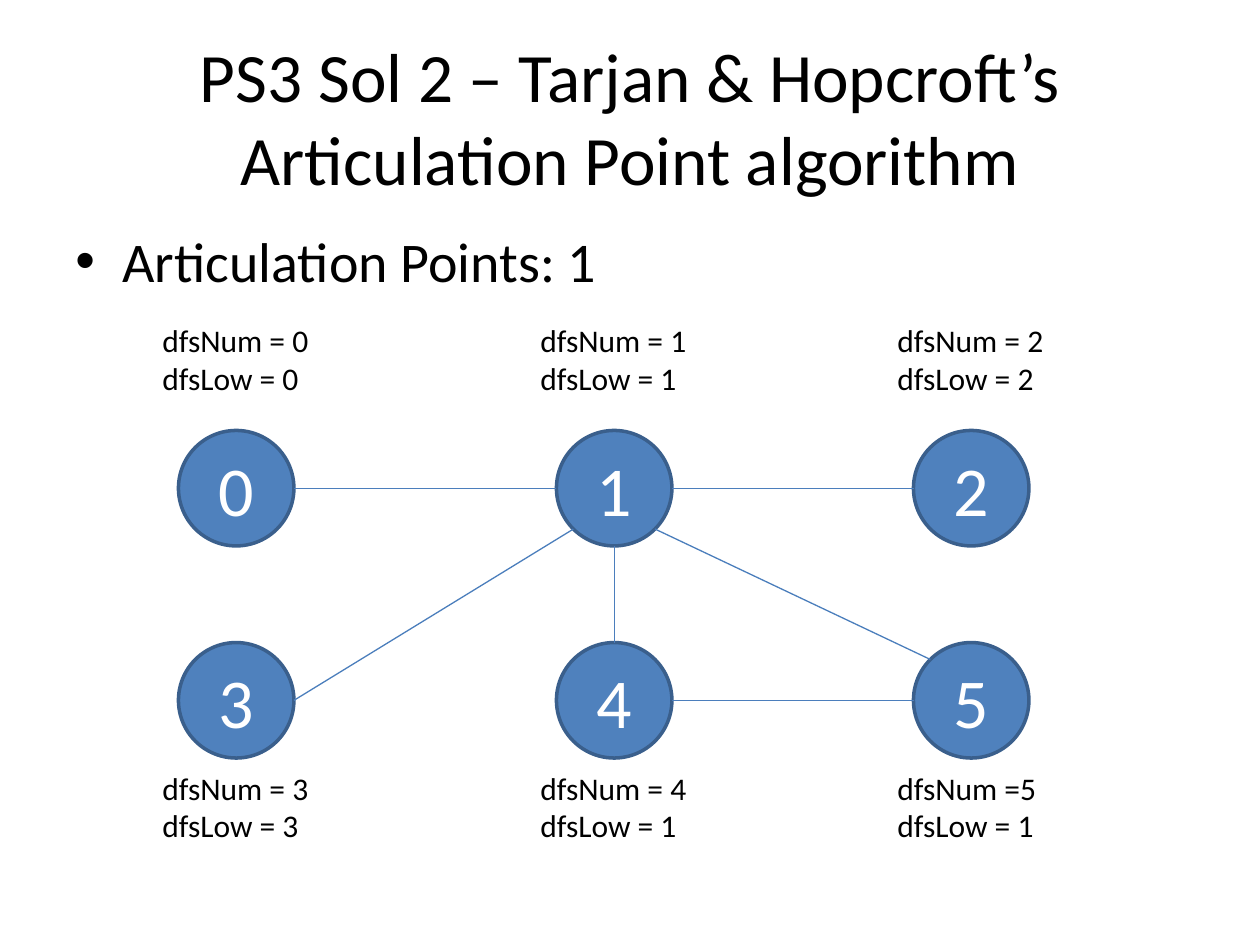
"""Build a slide showing a graph with its DFS numbers and articulation point."""
from math import cos, radians, sin

from lxml import etree
from pptx import Presentation
from pptx.dml.color import RGBColor
from pptx.enum.shapes import MSO_CONNECTOR, MSO_SHAPE
from pptx.enum.text import MSO_ANCHOR, MSO_AUTO_SIZE, PP_ALIGN
from pptx.oxml.ns import qn
from pptx.util import Pt

LINE, OVAL = MSO_CONNECTOR.STRAIGHT, MSO_SHAPE.OVAL
LEFT, MID = PP_ALIGN.LEFT, PP_ALIGN.CENTER
TOP, CENTER = MSO_ANCHOR.TOP, MSO_ANCHOR.MIDDLE
GROW = MSO_AUTO_SIZE.SHAPE_TO_FIT_TEXT

TITLE = "PS3 Sol 2 – Tarjan & Hopcroft’s Articulation Point algorithm"
POINT = "Articulation Points: 1"
NOTES = [
    "dfsNum = 0\ndfsLow = 0", "dfsNum = 1\ndfsLow = 1", "dfsNum = 2\ndfsLow = 2",
    "dfsNum = 3\ndfsLow = 3", "dfsNum = 4\ndfsLow = 1", "dfsNum =5\ndfsLow = 1",
]
EAST, SOUTH, WEST, NORTH = 0, 90, 180, 270
EDGES = [
    (0, EAST, 1, WEST), (2, WEST, 1, EAST), (1, SOUTH, 4, NORTH),
    (4, EAST, 5, WEST), (1, 135, 3, EAST), (5, 225, 1, 45),
]
COLS = (102, 318, 522)
ROWS = ((246, 180), (367.2, 435.6))
SIZE = 66
NOTE_W, NOTE_H = 98.6, 51
THEME = {
    "font": "Calibri", "ink": "000000", "node": "4F81BD", "rim": "3A5F8C",
    "edge": "4B7EBC", "pale": "FFFFFF",
    "title": 39.6, "body": 32, "num": 40, "note": 18,
}


def tint(name):
    return RGBColor.from_string(THEME[name])


def write(shape, text, size, ink="ink", align=LEFT, anchor=TOP, wrap=True):
    frame = shape.text_frame
    frame.text = text
    frame.word_wrap = wrap
    frame.vertical_anchor = anchor
    for para in frame.paragraphs:
        para.alignment = align
        for run in para.runs:
            run.font.name = THEME["font"]
            run.font.size = Pt(THEME[size])
            run.font.color.rgb = tint(ink)
    return frame


def box(x, y, w, h):
    return slide.shapes.add_textbox(Pt(x), Pt(y), Pt(w), Pt(h))


def spot(node, angle):
    rad = SIZE / 2
    x, y = COLS[node % 3] + rad, ROWS[node // 3][0] + rad
    turn = radians(angle)
    return Pt(x + rad * cos(turn)), Pt(y + rad * sin(turn))


def bullet(para):
    props = para._p.get_or_add_pPr()
    props.set("marL", str(Pt(27)))
    props.set("indent", str(-Pt(27)))
    etree.SubElement(props, qn("a:buFont")).set("typeface", "Arial")
    etree.SubElement(props, qn("a:buChar")).set("char", "•")


deck = Presentation()
deck.slide_width, deck.slide_height = Pt(720), Pt(540)
slide = deck.slides.add_slide(deck.slide_layouts[6])

write(box(36, 21.6, 648, 90), TITLE, "title", align=MID, anchor=CENTER)
body = write(box(36, 126, 648, 356.4), POINT, "body")
body.paragraphs[0].space_before = Pt(6.4)
bullet(body.paragraphs[0])

for num, note in enumerate(NOTES):
    x = COLS[num % 3]
    y, note_y = ROWS[num // 3]
    node = slide.shapes.add_shape(OVAL, Pt(x), Pt(y), Pt(SIZE), Pt(SIZE))
    node.shadow.inherit = False
    node.fill.solid()
    node.fill.fore_color.rgb = tint("node")
    node.line.color.rgb = tint("rim")
    node.line.width = Pt(2)
    write(node, str(num), "num", "pale", MID, CENTER)
    label = box(x + (SIZE - NOTE_W) / 2, note_y, NOTE_W, NOTE_H)
    write(label, note, "note", wrap=False).auto_size = GROW

for start, out, end, into in EDGES:
    edge = slide.shapes.add_connector(LINE, *spot(start, out), *spot(end, into))
    edge.line.color.rgb = tint("edge")
    edge.line.width = Pt(0.75)
    etree.SubElement(edge._element.spPr, qn("a:effectLst"))

deck.save("out.pptx")
